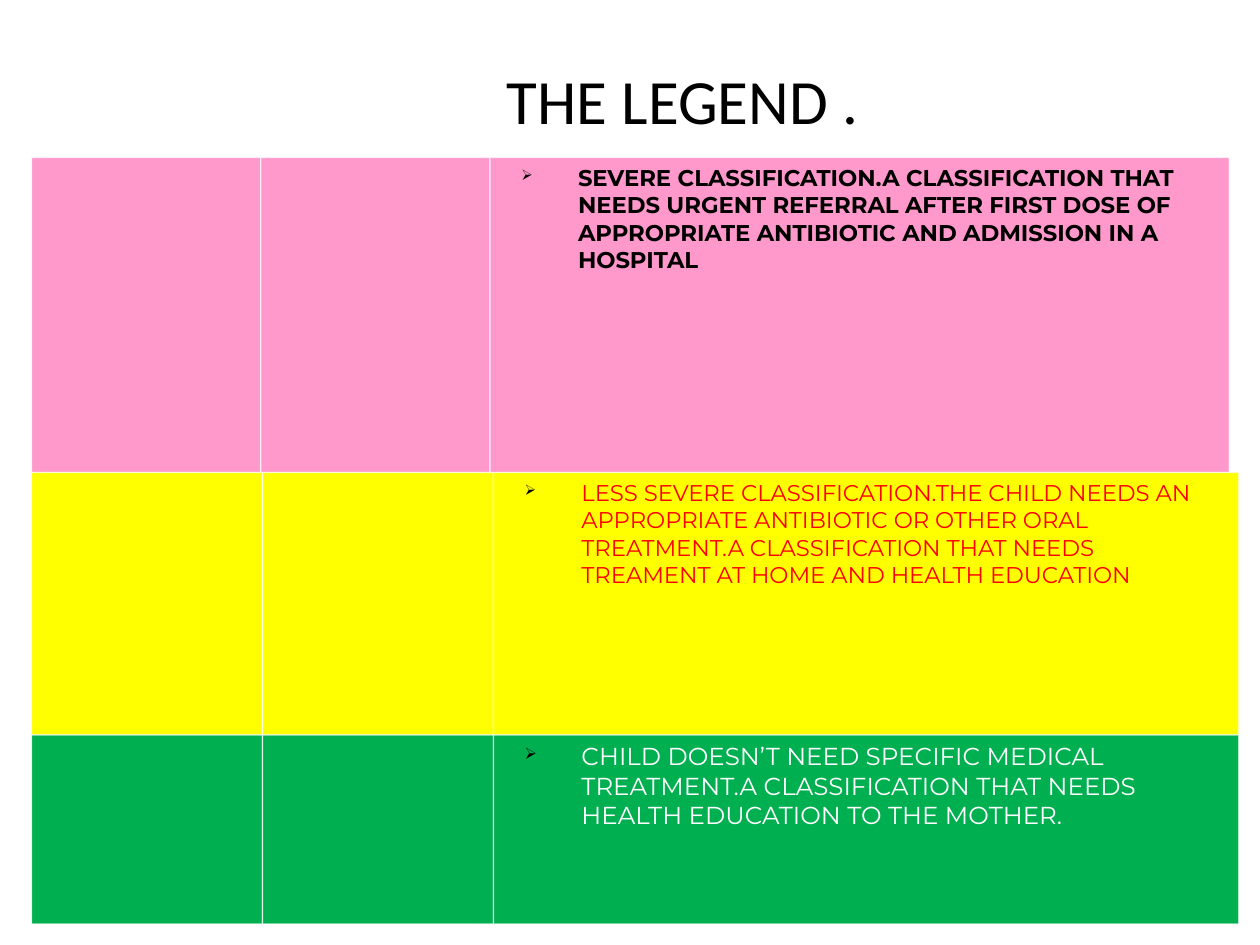
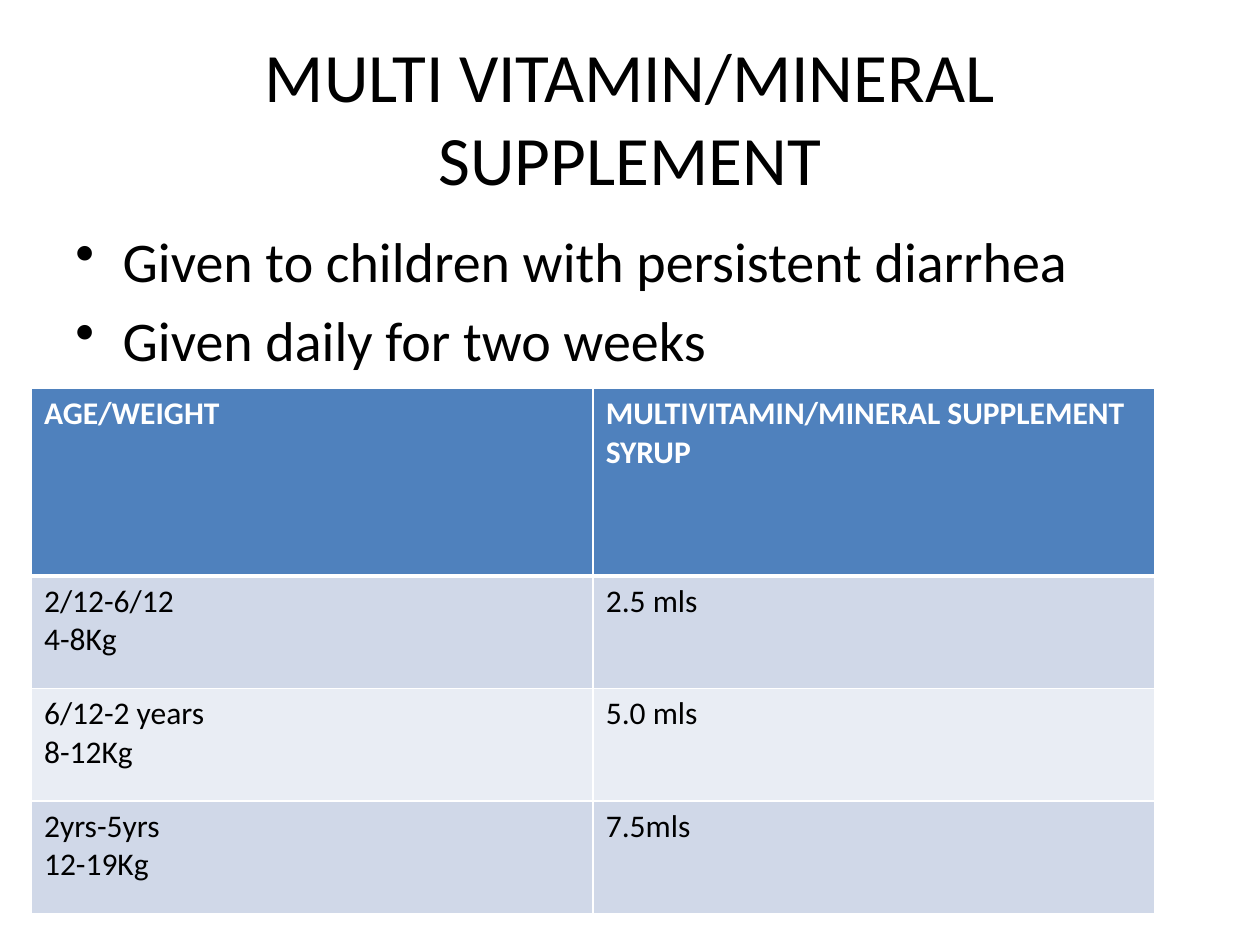
"""Build two slides: the classification colour legend and the supplement dosage table."""
from dataclasses import dataclass

from lxml.etree import SubElement
from pptx import Presentation
from pptx.dml.color import RGBColor
from pptx.enum.shapes import MSO_SHAPE
from pptx.enum.text import MSO_ANCHOR as Anchor, PP_ALIGN as Align
from pptx.oxml import parse_xml
from pptx.oxml.ns import nsdecls, qn
from pptx.util import Pt


@dataclass(frozen=True)
class Theme:
    black: str = "000000"
    white: str = "FFFFFF"
    red: str = "FF0000"
    pink: str = "FF99CC"
    yellow: str = "FFFF00"
    green: str = "00B050"
    header: str = "4F81BD"
    odd_row: str = "D0D8E8"
    even_row: str = "E9EDF4"
    main_font: str = "Calibri"
    legend_font: str = "Montserrat"
    legend_title: float = 36
    table_title: float = 39.6
    body: float = 32
    table: float = 18


@dataclass(frozen=True)
class TextStyle:
    font: str
    size: float
    color: str
    bold: bool = False


@dataclass(frozen=True)
class Bullet:
    char: str
    margin: float
    hanging: float
    color: str = ""
    percent: int = 100


@dataclass(frozen=True)
class Band:
    height: float
    fill: str
    narrow: float
    wide: float
    text: str
    style: TextStyle


THEME = Theme()
LEFT = 18
ARROW = Bullet("➢", 43.2, 32.4, THEME.black, 65)
DOT = Bullet("•", 27, 27)
BANDS = (
    Band(180, THEME.pink, 131, 422.5,
         "SEVERE CLASSIFICATION.A CLASSIFICATION THAT NEEDS URGENT REFERRAL AFTER FIRST DOSE OF "
         "APPROPRIATE ANTIBIOTIC AND ADMISSION IN A HOSPITAL",
         TextStyle(THEME.legend_font, 13, THEME.black, True)),
    Band(150, THEME.yellow, 132, 426,
         "LESS SEVERE CLASSIFICATION.THE CHILD NEEDS AN APPROPRIATE ANTIBIOTIC OR OTHER ORAL "
         "TREATMENT.A CLASSIFICATION THAT NEEDS TREAMENT AT HOME AND HEALTH EDUCATION",
         TextStyle(THEME.legend_font, 13, THEME.red)),
    Band(108, THEME.green, 132, 426,
         "CHILD DOESN’T NEED SPECIFIC MEDICAL TREATMENT.A CLASSIFICATION THAT NEEDS "
         "HEALTH EDUCATION TO THE MOTHER.",
         TextStyle(THEME.legend_font, 14, THEME.white)),
)
DOSES = (
    (("AGE/WEIGHT",), ("MULTIVITAMIN/MINERAL SUPPLEMENT SYRUP",)),
    (("2/12-6/12", "4-8Kg"), ("2.5 mls",)),
    (("6/12-2 years", "8-12Kg"), ("5.0 mls",)),
    (("2yrs-5yrs", "12-19Kg"), ("7.5mls",)),
)


def rgb(color: str) -> RGBColor:
    return RGBColor.from_string(color)


def add_bullet(para, bullet: Bullet) -> None:
    props = para._p.get_or_add_pPr()
    props.set("marL", str(Pt(bullet.margin)))
    props.set("indent", str(-Pt(bullet.hanging)))
    if bullet.color:
        SubElement(SubElement(props, qn("a:buClr")), qn("a:srgbClr"), val=bullet.color)
    SubElement(props, qn("a:buSzPct"), val=str(bullet.percent * 1000))
    SubElement(props, qn("a:buChar"), char=bullet.char)


def write(frame, lines, style: TextStyle, align=Align.LEFT,
          bullet: Bullet | None = None, gap: float = 0) -> None:
    frame.word_wrap = True
    for index, line in enumerate(lines):
        para = frame.add_paragraph() if index else frame.paragraphs[0]
        para.text = line
        if bullet:
            add_bullet(para, bullet)
        para.alignment = align
        if index and gap:
            para.space_before = Pt(gap)
        font = para.font
        font.name, font.size, font.bold = style.font, Pt(style.size), style.bold
        font.color.rgb = rgb(style.color)


def add_text(page, left: float, top: float, width: float, height: float):
    box = page.shapes.add_textbox(Pt(left), Pt(top), Pt(width), Pt(height))
    return box.text_frame


def add_title(page, text: str, left: float, top: float, height: float, size: float) -> None:
    frame = add_text(page, left, top, 648, height)
    frame.vertical_anchor = Anchor.MIDDLE
    write(frame, [text], TextStyle(THEME.main_font, size, THEME.black), Align.CENTER)


def add_panel(page, left: float, top: float, width: float, band: Band):
    panel = page.shapes.add_shape(
        MSO_SHAPE.RECTANGLE, Pt(left), Pt(top), Pt(width), Pt(band.height))
    panel.shadow.inherit = False
    panel.fill.solid()
    panel.fill.fore_color.rgb = rgb(band.fill)
    panel.line.width = Pt(0.75)
    panel.line.color.rgb = rgb(THEME.white)
    line_color = panel.line._ln.find(".//" + qn("a:srgbClr"))
    SubElement(line_color, qn("a:alpha"), val="72000")
    return panel


def add_band(page, top: float, band: Band) -> None:
    left = LEFT
    for width in (band.narrow, band.narrow, band.wide):
        panel = add_panel(page, left, top, width, band)
        left += width
    panel.text_frame.vertical_anchor = Anchor.TOP
    write(panel.text_frame, [band.text], band.style, bullet=ARROW)


def set_borders(cell, top: float, bottom: float) -> None:
    props = cell._tc.get_or_add_tcPr()
    sides = (("lnL", 1), ("lnR", 1), ("lnT", top), ("lnB", bottom))
    for index, (side, width) in enumerate(sides):
        props.insert(index, parse_xml(
            f'<a:{side} {nsdecls("a")} w="{Pt(width)}"><a:solidFill>'
            f'<a:srgbClr val="{THEME.white}"/></a:solidFill></a:{side}>'))


def add_dose_table(page) -> None:
    heights = (107.25, 64.25, 64.25, 64.25)
    fills = (THEME.header, THEME.odd_row, THEME.even_row, THEME.odd_row)
    table = page.shapes.add_table(
        len(DOSES), 2, Pt(LEFT), Pt(222), Pt(642), Pt(sum(heights))).table
    for column in table.columns:
        column.width = Pt(321)
    for index, (entries, height, fill) in enumerate(zip(DOSES, heights, fills)):
        table.rows[index].height = Pt(height)
        is_header = index == 0
        color = THEME.white if is_header else THEME.black
        style = TextStyle(THEME.main_font, THEME.table, color, is_header)
        for cell, lines in zip(table.rows[index].cells, entries):
            cell.fill.solid()
            cell.fill.fore_color.rgb = rgb(fill)
            set_borders(cell, 3 if index == 1 else 1, 3 if is_header else 1)
            write(cell.text_frame, lines, style)


def build_legend(page) -> None:
    add_title(page, "THE LEGEND .", 66, 30, 54, THEME.legend_title)
    top = 90
    for band in BANDS:
        add_band(page, top, band)
        top += band.height


def build_supplement(page) -> None:
    add_title(page, "MULTI VITAMIN/MINERAL SUPPLEMENT", 36, 21.6, 90, THEME.table_title)
    write(add_text(page, 36, 126, 648, 356.4),
          ["Given to children with persistent diarrhea", "Given daily for two weeks"],
          TextStyle(THEME.main_font, THEME.body, THEME.black), bullet=DOT, gap=6.4)
    add_dose_table(page)


def main() -> None:
    deck = Presentation()
    deck.slide_width, deck.slide_height = Pt(720), Pt(540)
    for build in (build_legend, build_supplement):
        build(deck.slides.add_slide(deck.slide_layouts[6]))
    deck.save("out.pptx")


if __name__ == "__main__":
    main()
